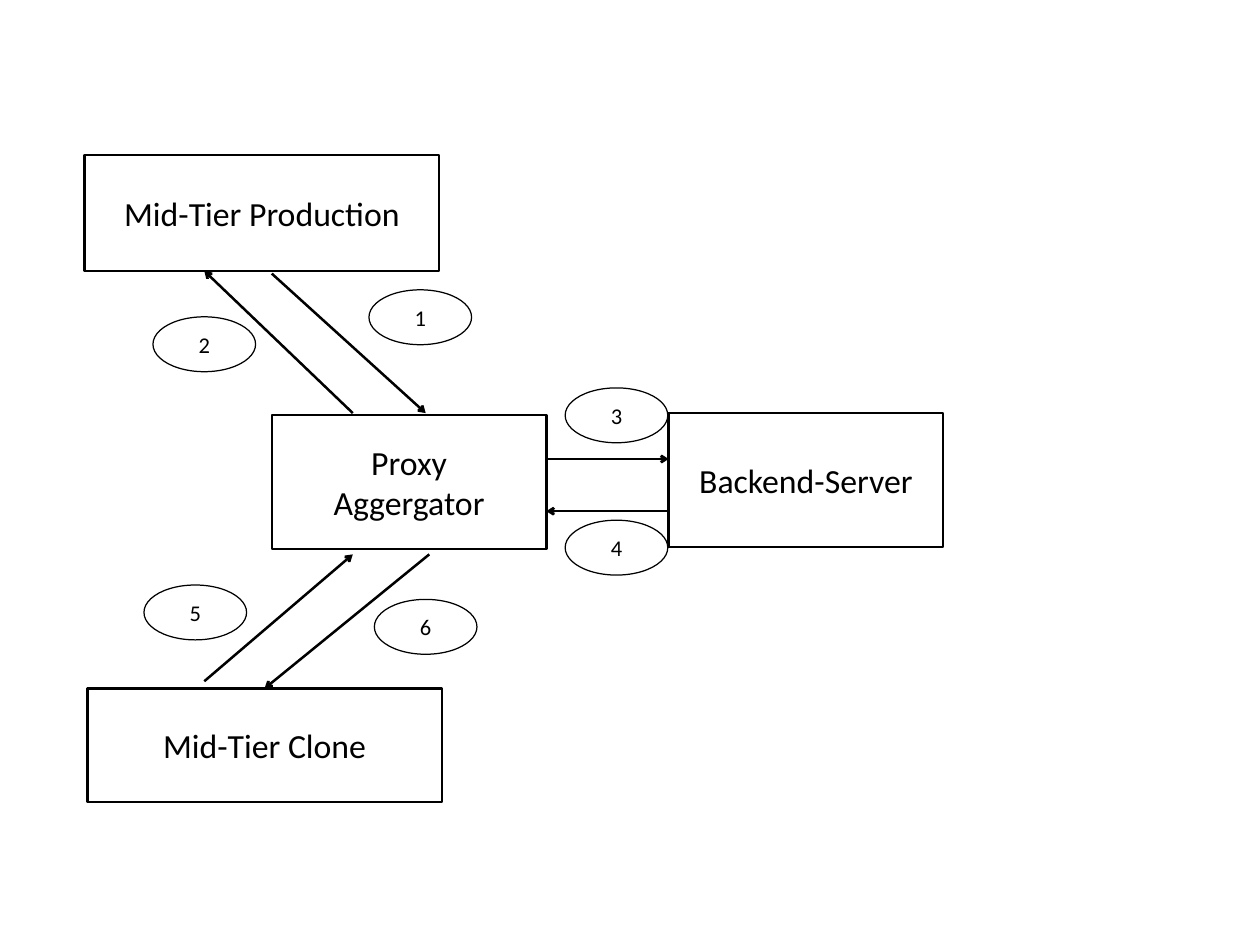
import pptx
import pptx.util
import pptx.dml.color
import pptx.enum.shapes
import pptx.enum.text
import pptx.oxml.ns
import lxml.etree

BLACK = pptx.dml.color.RGBColor(0x00, 0x00, 0x00)
FONT = "Calibri"
COLUMNS, ROWS = 14, 10.5
BADGE_SIZE = (1.14, 0.61)
SHAPES = pptx.enum.shapes.MSO_SHAPE

deck = pptx.Presentation()
deck.slide_width = pptx.util.Inches(14)
deck.slide_height = pptx.util.Inches(10.5)
COLUMN = deck.slide_width / COLUMNS
ROW = deck.slide_height / ROWS
slide = deck.slides.add_slide(deck.slide_layouts[6])


def on_grid(box, *offset):
    return round((box[0] + offset[0]) * COLUMN), round((box[1] + offset[1]) * ROW)


def add_label(kind, box, text, size, line_width):
    outline = slide.shapes.add_shape(kind, *on_grid(box, 0, 0), *on_grid(box[2:], 0, 0))
    outline.shadow.inherit = False
    outline.fill.background()
    outline.line.color.rgb = BLACK
    outline.line.width = pptx.util.Pt(line_width)
    frame = outline.text_frame
    frame.text = text
    frame.word_wrap = True
    frame.vertical_anchor = pptx.enum.text.MSO_ANCHOR.MIDDLE
    frame.margin_left = frame.margin_right = pptx.util.Inches(0.15)
    frame.margin_top = frame.margin_bottom = pptx.util.Inches(0.08)
    for paragraph in frame.paragraphs:
        paragraph.alignment = pptx.enum.text.PP_ALIGN.CENTER
        for run in paragraph.runs:
            run.font.name = FONT
            run.font.size = pptx.util.Pt(size)
            run.font.color.rgb = BLACK


def add_arrow(box, start, end):
    arrow = slide.shapes.add_connector(
        pptx.enum.shapes.MSO_CONNECTOR.STRAIGHT, *on_grid(box, *start), *on_grid(box, *end))
    arrow.line.color.rgb = BLACK
    arrow.line.width = pptx.util.Pt(2)
    line = arrow.line._get_or_add_ln()
    lxml.etree.SubElement(line, pptx.oxml.ns.qn("a:tailEnd"), type="arrow")
    lxml.etree.SubElement(arrow._element.spPr, pptx.oxml.ns.qn("a:effectLst"))


def draw_server(box, name, arrows=(), badges=()):
    add_label(SHAPES.RECTANGLE, box, name, 27, 2)
    for start, end in arrows:
        add_arrow(box, start, end)
    for number, left, top in badges:
        add_label(SHAPES.OVAL, (box[0] + left, box[1] + top, *BADGE_SIZE), number, 18, 1)


draw_server((3.02, 4.61, 3.05, 1.49), "Proxy\nAggergator")
draw_server(
    (0.94, 1.72, 3.94, 1.29), "Mid-Tier Production",
    arrows=[((2.98, 2.87), (1.33, 1.29)), ((2.08, 1.32), (3.79, 2.87))],
    badges=[("1", 3.16, 1.5), ("2", 0.76, 1.8)])
draw_server(
    (0.97, 7.65, 3.94, 1.26), "Mid-Tier Clone",
    arrows=[((3.8, -1.49), (1.97, 0)), ((1.3, -0.08), (2.95, -1.49))],
    badges=[("5", 0.63, -1.15), ("6", 3.19, -0.99)])
draw_server(
    (7.43, 4.59, 3.05, 1.49), "Backend-Server",
    arrows=[((-1.36, 0.51), (0, 0.51)), ((0, 1.09), (-1.36, 1.09))],
    badges=[("3", -1.15, -0.28), ("4", -1.15, 1.19)])

deck.save("out.pptx")
